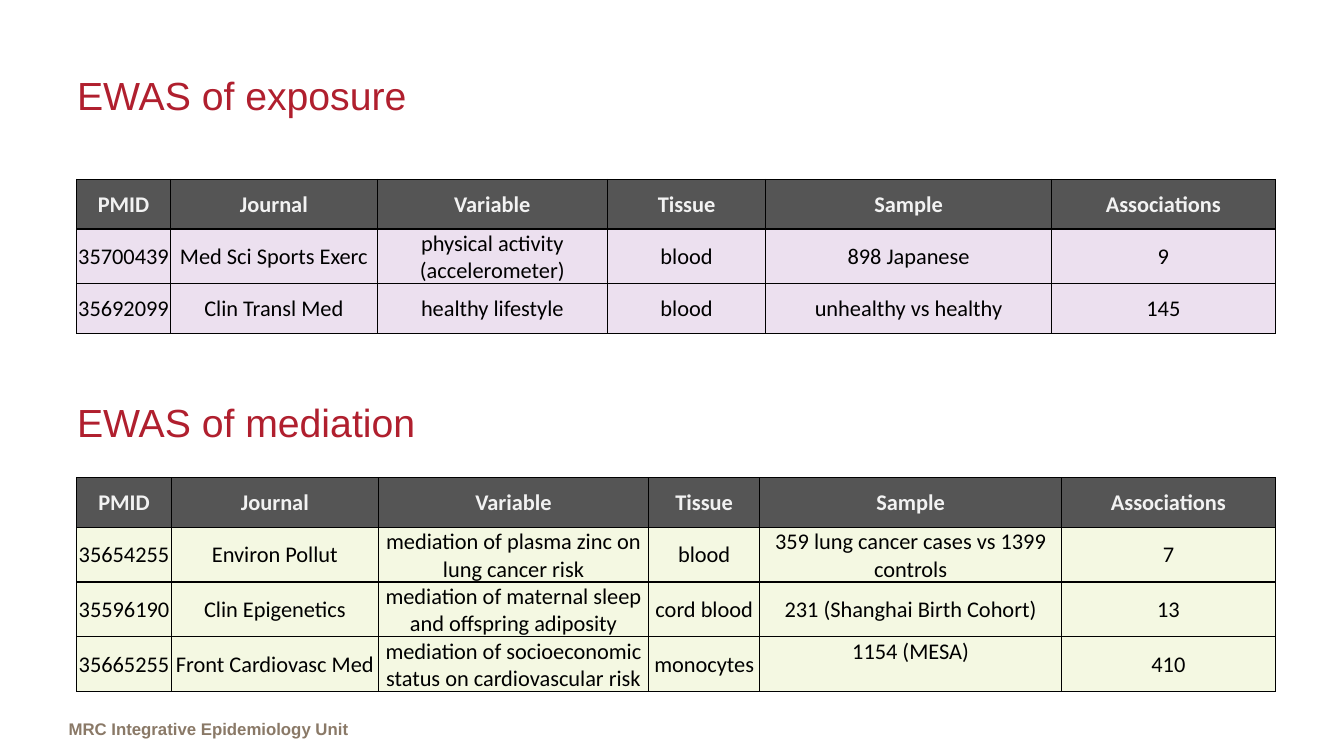
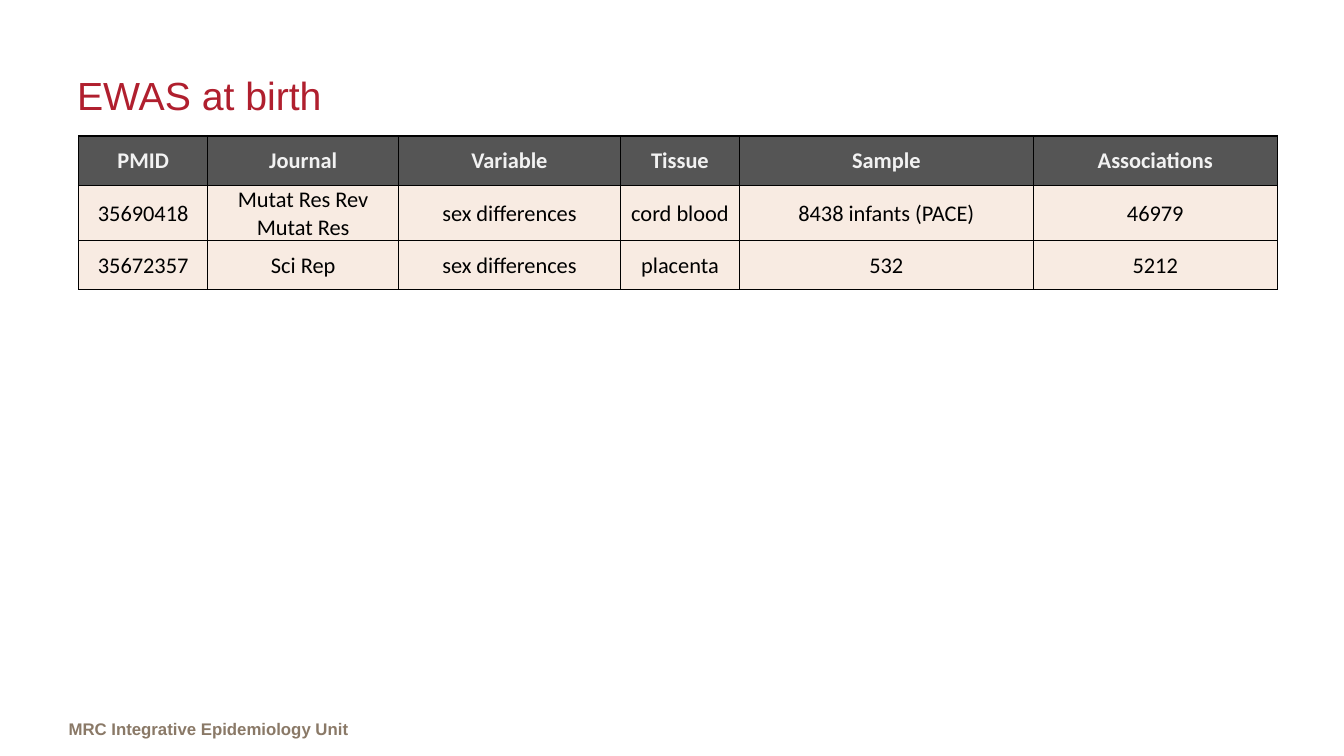
import pptx
import pptx.dml.color
import pptx.enum.text
import pptx.oxml
import pptx.oxml.ns
import pptx.util

INK = {
    "title": "B01F2E", "footer": "8A7967", "head": "0D0D0D", "label": "F2F2F2",
    "body": "000000", "rule": "000000",
    "lilac": "E4D3E9", "lime": "F0F6D6", "peach": "F6E3D6",
}
HEAD = ["PMID", "Journal", "Variable", "Tissue", "Sample", "Associations"]
MIDDLE = pptx.enum.text.MSO_ANCHOR.MIDDLE
TOP = pptx.enum.text.MSO_ANCHOR.TOP
CENTER = pptx.enum.text.PP_ALIGN.CENTER
PAD = pptx.util.Inches(0.01)

deck = pptx.Presentation()
deck.slide_width = pptx.util.Inches(13.33)
deck.slide_height = pptx.util.Inches(7.5)
COL = deck.slide_width / 100   # one percent of the slide's width
ROW = deck.slide_height / 100  # one percent of the slide's height
WIDE = 89.2                    # columns taken by titles and tables
TALL = 6.55                    # rows taken by one table line


def write(frame, text, size, font, color, bold=False):
    """Put one styled run in the frame's first paragraph."""
    run = frame.paragraphs[0].add_run()
    run.text = text
    run.font.size = pptx.util.Pt(size)
    run.font.name = font
    run.font.bold = bold
    run.font.color.rgb = pptx.dml.color.RGBColor.from_string(INK[color])


def paint(cell, color):
    """Give a cell thin rules on all sides and a fill of 70% opacity."""
    cell.fill.solid()
    cell.fill.fore_color.rgb = pptx.dml.color.RGBColor.from_string(INK[color])
    props = cell._tc.get_or_add_tcPr()
    tint = props.find(".//" + pptx.oxml.ns.qn("a:srgbClr"))
    tint.append(pptx.oxml.parse_xml(
        f'<a:alpha {pptx.oxml.ns.nsdecls("a")} val="70000"/>'))
    for spot, side in enumerate("LRTB"):
        props.insert(spot, pptx.oxml.parse_xml(
            f'<a:ln{side} {pptx.oxml.ns.nsdecls("a")} w="12700"><a:solidFill>'
            f'<a:srgbClr val="{INK["rule"]}"/></a:solidFill></a:ln{side}>'))


# Each part: title, title top, table left, table top, fill, column weights, lines
slides = [
    [
        ("EWAS of exposure", 6.67, 5.7, 23.75, "lilac",
         [93, 205, 228, 157, 283, 222], [
             ["35700439", "Med Sci Sports Exerc",
              "physical activity (accelerometer)", "blood", "898 Japanese", "9"],
             ["35692099", "Clin Transl Med", "healthy lifestyle", "blood",
              "unhealthy vs healthy", "145"],
         ]),
        ("EWAS of mediation", 49.87, 5.7, 63.2, "lime",
         [94, 205, 268, 110, 299, 212], [
             ["35654255", "Environ Pollut",
              "mediation of plasma zinc on lung cancer risk", "blood",
              "359 lung cancer cases vs 1399 controls", "7"],
             ["35596190", "Clin Epigenetics",
              "mediation of maternal sleep and offspring adiposity",
              "cord blood", "231 (Shanghai Birth Cohort)", "13"],
             ["35665255", "Front Cardiovasc Med",
              "mediation of socioeconomic status on cardiovascular risk",
              "monocytes", "1154 (MESA)", "410"],
         ]),
    ],
    [
        ("EWAS at birth", 6.67, 5.85, 18, "peach",
         [128, 189, 220, 118, 291, 242], [
             ["35690418", "Mutat Res Rev Mutat Res", "sex differences",
              "cord blood", "8438 infants (PACE)", "46979"],
             ["35672357", "Sci Rep", "sex differences", "placenta", "532", "5212"],
         ]),
    ],
]

for parts in slides:
    slide = deck.slides.add_slide(deck.slide_layouts[6])

    footer = slide.shapes.add_textbox(
        int(5.1 * COL), int(94.4 * ROW), int(24.15 * COL), int(4 * ROW)).text_frame
    footer.word_wrap = True
    footer.margin_left = footer.margin_right = 0
    write(footer, "MRC Integrative Epidemiology Unit", 12, "Arial", "footer", True)

    for name, high, left, top, fill, shares, lines in parts:
        title = slide.shapes.add_textbox(
            int(5 * COL), int(high * ROW), int(WIDE * COL), int(11.87 * ROW)).text_frame
        title.word_wrap = True
        title.vertical_anchor = MIDDLE
        write(title, name, 28, "Arial", "title")

        grid = [HEAD] + lines
        table = slide.shapes.add_table(
            len(grid), len(HEAD), int(left * COL), int(top * ROW),
            int(WIDE * COL), int(len(grid) * TALL * ROW)).table
        table.horz_banding = False
        for column, share in zip(table.columns, shares):
            column.width = int(WIDE * COL * share / sum(shares))
        for r, line in enumerate(grid):
            table.rows[r].height = int(TALL * ROW)
            for c, text in enumerate(line):
                cell = table.cell(r, c)
                cell.margin_left = cell.margin_right = cell.margin_top = PAD
                cell.margin_bottom = 0
                cell.vertical_anchor = TOP if text == "1154 (MESA)" else MIDDLE
                cell.text_frame.paragraphs[0].alignment = CENTER
                write(cell.text_frame, text, 16, "Calibri",
                      "body" if r else "label", r == 0)
                paint(cell, fill if r else "head")

deck.save("out.pptx")
